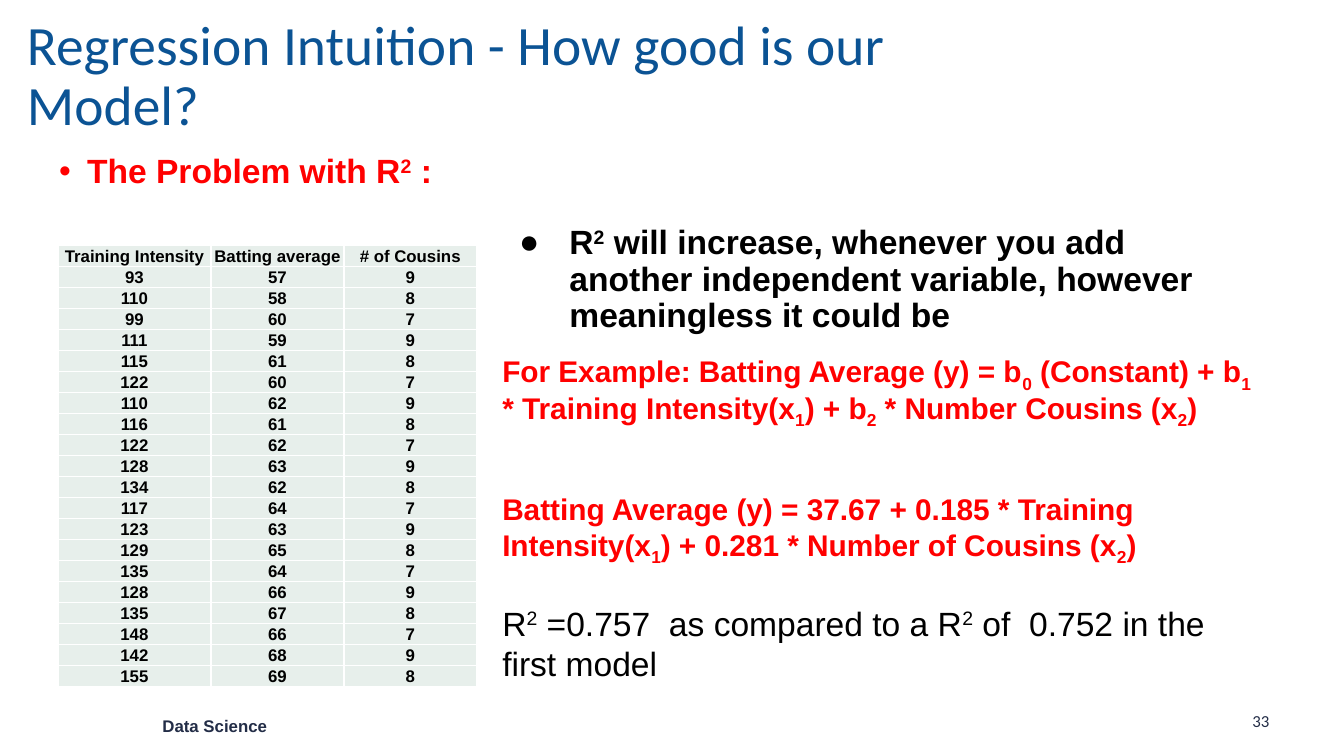
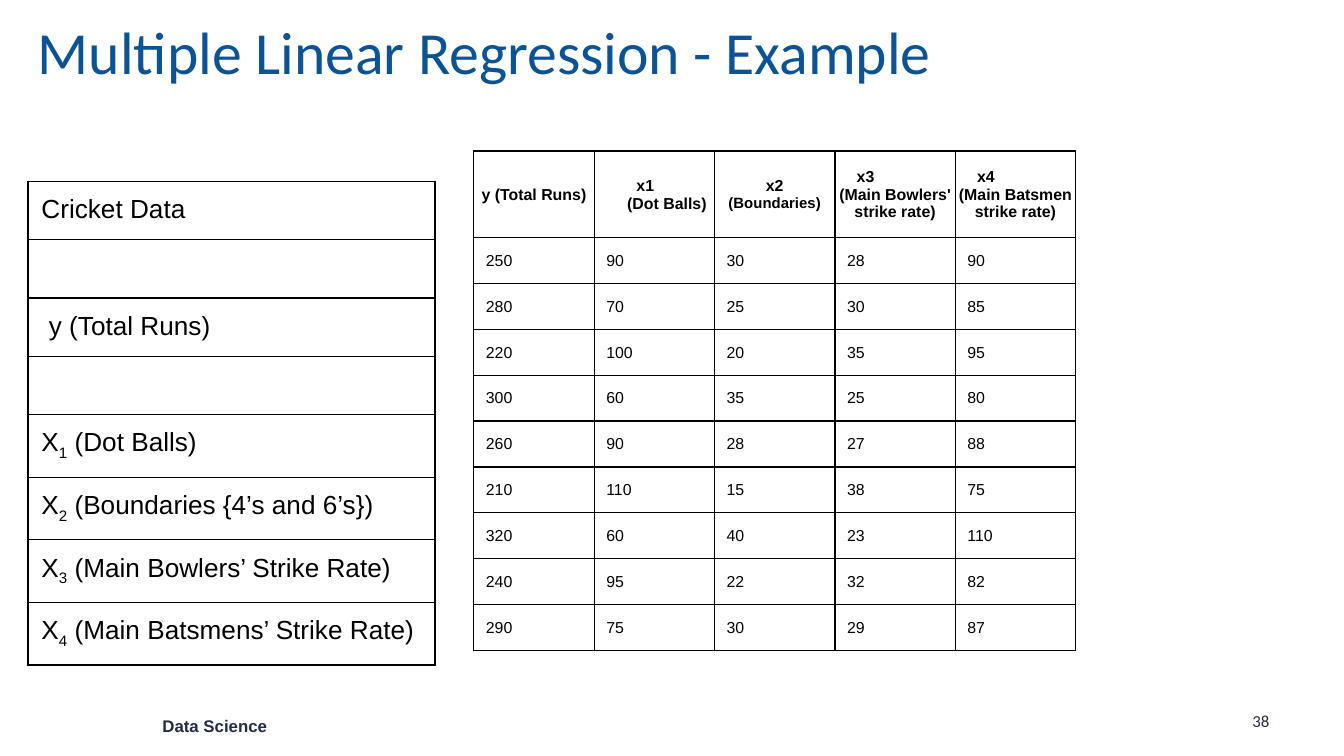
import dataclasses

import lxml.etree
import pptx
import pptx.dml.color
import pptx.enum.text
import pptx.oxml.ns
import pptx.util

Pt = pptx.util.Pt
RGBColor = pptx.dml.color.RGBColor
ALIGN = pptx.enum.text.PP_ALIGN
ANCHOR = pptx.enum.text.MSO_ANCHOR

# Shared look
BLACK = RGBColor(0x00, 0x00, 0x00)
WHITE = RGBColor(0xFF, 0xFF, 0xFF)
RED = RGBColor(0xFF, 0x00, 0x00)
TITLE_BLUE = RGBColor(0x0B, 0x53, 0x94)
FOOTER_NAVY = RGBColor(0x23, 0x2D, 0x47)
PALE_GREEN = RGBColor(0xE7, 0xEF, 0xEB)

# Insets: left, top, right, bottom
NARROW_INSETS = (5, 2.5, 5, 2.5)
WIDE_INSETS = (7.2, 7.2, 7.2, 7.2)
TIGHT_INSETS = (0.7, 0.4, 0.7, 0)
VALUE_INSETS = (6.5, 0.4, 0.7, 0)

# Marks that open a raised or lowered piece of text
BASELINES = {"^": "30000", "_": "-25000"}

# Slide content
COUSIN_HEADERS = ["Training Intensity", "Batting average", "# of Cousins"]
INTENSITIES = [93, 110, 99, 111, 115, 122, 110, 116, 122, 128,
               134, 117, 123, 129, 135, 128, 135, 148, 142, 155]
AVERAGES = [57, 58, 60, 59, 61, 60, 62, 61, 62, 63,
            62, 64, 63, 65, 64, 66, 67, 66, 68, 69]
COUSINS = [9 - index % 3 for index in range(len(AVERAGES))]

CRICKET_RUNS = [
    (250, 90, 30, 28, 90),
    (280, 70, 25, 30, 85),
    (220, 100, 20, 35, 95),
    (300, 60, 35, 25, 80),
    (260, 90, 28, 27, 88),
    (210, 110, 15, 38, 75),
    (320, 60, 40, 23, 110),
    (240, 95, 22, 32, 82),
    (290, 75, 30, 29, 87),
]


@dataclasses.dataclass
class Line:
    """One paragraph; "|" parts its runs, "^" raises and "_" lowers one."""
    text: str
    size: float
    color: RGBColor = BLACK
    bold: bool = False
    font: str = "Arial"
    align: ALIGN = ALIGN.LEFT
    margin: float = 0
    indent: float = 0
    spacing: float = 1.0
    before: float = 0
    bullet: str = ""


def add_element(parent, tag, **attributes):
    element = lxml.etree.SubElement(parent, pptx.oxml.ns.qn(tag))
    for name, value in attributes.items():
        element.set(name, value)
    return element


def write_paragraph(paragraph, line):
    properties = paragraph._p.get_or_add_pPr()
    properties.set("marL", str(Pt(line.margin)))
    properties.set("indent", str(Pt(line.indent)))
    if line.bullet:
        color = add_element(properties, "a:buClr")
        add_element(color, "a:srgbClr", val=str(line.color))
        add_element(properties, "a:buFont", typeface=line.font)
        add_element(properties, "a:buChar", char=line.bullet)
    paragraph.alignment = line.align
    paragraph.line_spacing = line.spacing
    paragraph.space_before = Pt(line.before)
    paragraph.font.name = line.font
    paragraph.font.size = Pt(line.size)
    paragraph.font.bold = line.bold
    paragraph.font.color.rgb = line.color

    if not line.text:
        end = paragraph._p.get_or_add_endParaRPr()
        end.set("sz", str(int(line.size * 100)))
        return
    for piece in line.text.split("|"):
        run = paragraph.add_run()
        if piece[0] in BASELINES:
            run.font._element.set("baseline", BASELINES[piece[0]])
            piece = piece[1:]
        run.text = piece


def write_lines(text_frame, lines):
    for index, line in enumerate(lines):
        first = index == 0
        paragraph = text_frame.paragraphs[0] if first else text_frame.add_paragraph()
        write_paragraph(paragraph, line)


def set_insets(target, insets):
    (target.margin_left, target.margin_top,
     target.margin_right, target.margin_bottom) = map(Pt, insets)


def add_text(slide, box, lines, insets=WIDE_INSETS, anchor=ANCHOR.TOP):
    shape = slide.shapes.add_textbox(*map(Pt, box))
    text_frame = shape.text_frame
    text_frame.word_wrap = True
    text_frame.vertical_anchor = anchor
    set_insets(text_frame, insets)
    write_lines(text_frame, lines)


def add_title(slide, text, box, size):
    line = Line(text, size, TITLE_BLUE, font="Calibri", spacing=0.9)
    add_text(slide, box, [line], NARROW_INSETS, ANCHOR.MIDDLE)


def add_footer(slide, number):
    add_text(slide, (82, 381, 118, 16.5),
             [Line("Data Science", 9, FOOTER_NAVY, bold=True)], NARROW_INSETS)
    add_text(slide, (666, 378.5, 36, 16.5),
             [Line(str(number), 9, FOOTER_NAVY, font="Calibri")], NARROW_INSETS)


def set_borders(cell, color, width):
    properties = cell._tc.get_or_add_tcPr()
    for side in ("a:lnL", "a:lnR", "a:lnT", "a:lnB"):
        border = add_element(properties, side, w=str(Pt(width)))
        fill = add_element(border, "a:solidFill")
        add_element(fill, "a:srgbClr", val=str(color))


def add_table(slide, corner, widths, heights, border, fill=None):
    """Adds an empty table with its grid, borders and fill."""
    box = (*corner, sum(widths), sum(heights))
    frame = slide.shapes.add_table(len(heights), len(widths), *map(Pt, box))
    table = frame.table
    table.first_row = table.horz_banding = False
    for column, width in zip(table.columns, widths):
        column.width = Pt(width)
    for row, height in zip(table.rows, heights):
        row.height = Pt(height)
    for cell in table.iter_cells():
        set_borders(cell, *border)
        if fill is None:
            cell.fill.background()
        else:
            cell.fill.solid()
            cell.fill.fore_color.rgb = fill
    return table


def write_cell(cell, lines, insets, anchor):
    set_insets(cell, insets)
    cell.vertical_anchor = anchor
    write_lines(cell.text_frame, lines)


def add_cousins_table(slide):
    rows = [COUSIN_HEADERS, *zip(INTENSITIES, AVERAGES, COUSINS)]
    table = add_table(slide, (31, 131.4), [82, 71.2, 71.2],
                      [10.75] * len(rows), (WHITE, 1), PALE_GREEN)
    for row_index, row in enumerate(rows):
        for column_index, value in enumerate(row):
            line = Line(str(value), 9, bold=True, align=ALIGN.CENTER)
            write_cell(table.cell(row_index, column_index), [line],
                       TIGHT_INSETS, ANCHOR.BOTTOM)


def add_variables_table(slide):
    variables = ["Cricket Data", "", "y (Total Runs)", "", "X|_1| (Dot Balls)",
                 "X|_2| (Boundaries {4’s and 6’s})",
                 "X|_3| (Main Bowlers’ Strike Rate)",
                 "X|_4| (Main Batsmens’ Strike Rate)"]
    table = add_table(slide, (15, 97.2), [218], [30.2] * len(variables), (BLACK, 0.75))
    for index, text in enumerate(variables):
        margin = 4 if text.startswith("y") else 0
        write_cell(table.cell(index, 0), [Line(text, 14, margin=margin)],
                   WIDE_INSETS, ANCHOR.TOP)


def add_runs_table(slide):
    def heading(text, size=8.5):
        return Line(text, size, bold=True, align=ALIGN.CENTER)

    def shifted(text, margin):
        return Line(text, 8.5, bold=True, margin=margin)

    headers = [
        [heading("y (Total Runs)")],
        [shifted("x1", 22), shifted("(Dot Balls)", 17)],
        [heading("x2"), heading("(Boundaries)", 8)],
        [shifted("x3", 11), heading("(Main Bowlers' strike rate)")],
        [shifted("x4", 11), heading("(Main Batsmen strike rate)")],
    ]
    table = add_table(slide, (253.8, 80.9), [64.5] * len(headers),
                      [46.4] + [24.6] * len(CRICKET_RUNS), (BLACK, 0.75))
    for column_index, lines in enumerate(headers):
        write_cell(table.cell(0, column_index), lines, TIGHT_INSETS, ANCHOR.MIDDLE)
    for row_index, row in enumerate(CRICKET_RUNS, start=1):
        for column_index, value in enumerate(row):
            write_cell(table.cell(row_index, column_index), [Line(str(value), 8.5)],
                       VALUE_INSETS, ANCHOR.MIDDLE)


def build_model_slide(slide):
    add_footer(slide, 33)
    add_title(slide, "Regression Intuition - How good is our Model?",
              (9.5, 11.5, 534, 60), 29.7)
    add_cousins_table(slide)
    add_text(slide, (21.6, 75.6, 585, 47.5), [
        Line("The Problem with R|^2| :", 18, RED, True,
             margin=18, indent=-15, spacing=0.9, bullet="•"),
    ])
    add_text(slide, (262, 113.8, 416, 254), [
        Line("R|^2| will increase, whenever you add another independent variable, "
             "however meaningless it could be", 18, bold=True,
             margin=36, indent=-27, spacing=0.9, bullet="●"),
        Line("For Example: Batting Average (y) = b|_0| (Constant) + b|_1"
             "| * Training Intensity(x|_1|) + b|_2| * Number Cousins (x|_2|)",
             16, RED, True, spacing=0.9, before=10),
        Line("Batting Average (y) = 37.67 + 0.185 * Training Intensity(x|_1"
             "|) + 0.281 * Number of Cousins (x|_2|)",
             16, RED, True, spacing=0.9, before=36.5),
        Line("R|^2| =0.757  as compared to a R|^2| of  0.752 in the first model",
             18, before=20.7),
    ])


def build_example_slide(slide):
    add_footer(slide, 38)
    add_title(slide, "Multiple Linear Regression - Example",
              (15.2, -0.7, 620, 60), 32)
    add_variables_table(slide)
    add_runs_table(slide)


def main():
    presentation = pptx.Presentation()
    presentation.slide_width = Pt(720)
    presentation.slide_height = Pt(405)
    blank_layout = presentation.slide_layouts[6]
    for build in (build_model_slide, build_example_slide):
        build(presentation.slides.add_slide(blank_layout))
    presentation.save("out.pptx")


if __name__ == "__main__":
    main()
